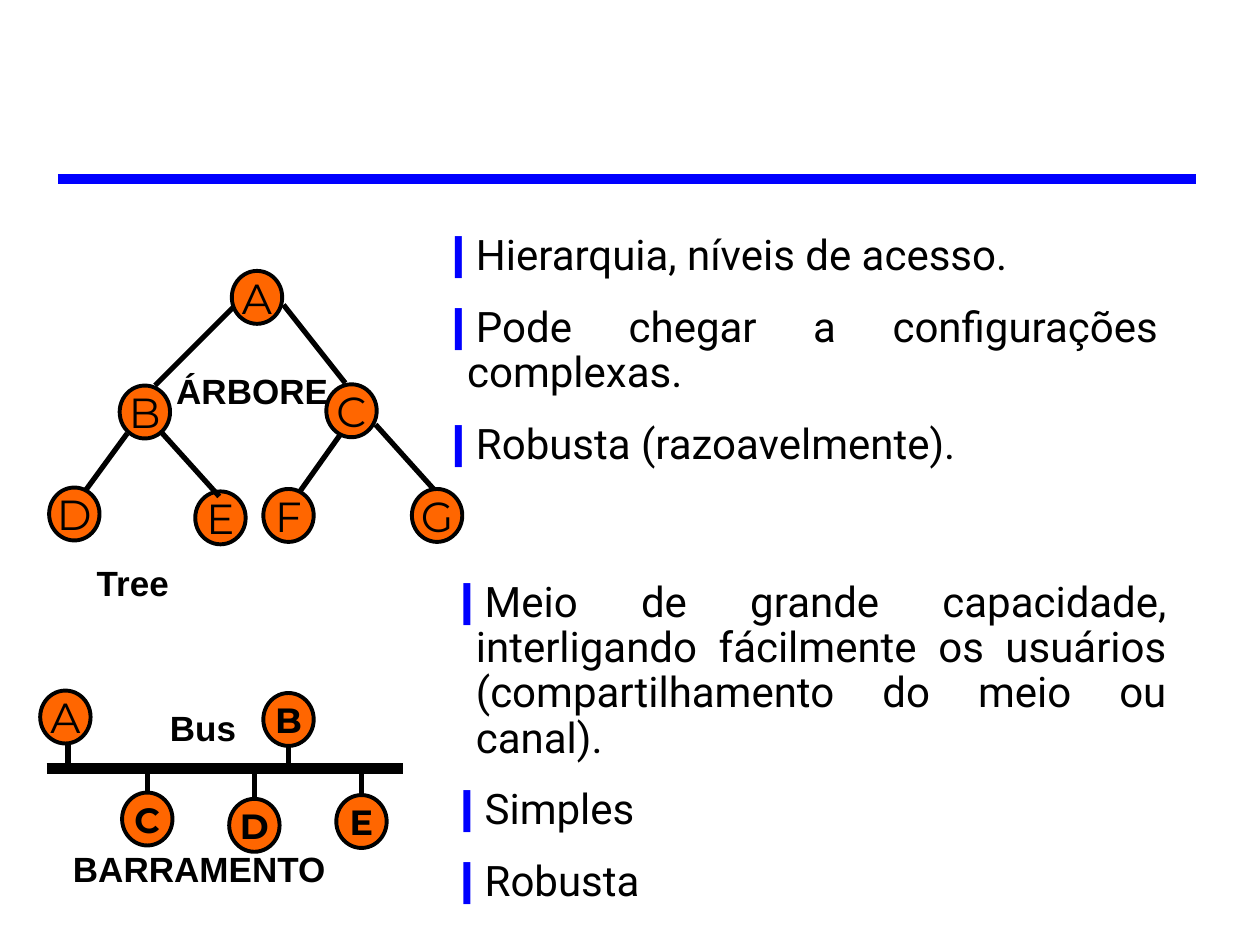
from lxml import etree
from pptx import Presentation
from pptx.dml.color import RGBColor
from pptx.enum import shapes, text
from pptx.oxml.ns import qn
from pptx.util import Pt

THEME = {
    "ink": RGBColor.from_string("000000"),
    "node": RGBColor.from_string("FF6600"),
    "accent": RGBColor.from_string("0000FF"),
    "node_font": "Montserrat",
    "label_font": "Arial",
    "body_font": "Roboto",
    "large": 24,
    "small": 20,
}
NODE_W, NODE_H = 28.8, 30.24
INDENT = 15.1
THICK, THIN, OUTLINE = 6, 3, 2.25

RULE = (33.1, 102.2, 683.3, 102.2)
TREE_NODES = [
    ("A", 132.5, 154.8),
    ("B", 68.4, 220.3),
    ("C", 186.5, 219.6),
    ("D", 28.1, 278.6),
    ("E", 111.6, 280.8),
    ("F", 150.5, 279.4),
    ("G", 235.4, 279.4),
]
TREE_EDGES = [
    (133.2, 175.7, 88.6, 220.3),
    (162, 174.2, 197.3, 218.9),
    (72.7, 247.7, 49, 280.1),
    (92.2, 247, 125.3, 283.7),
    (194.4, 248.4, 171.4, 280.8),
    (214.6, 242.6, 247.7, 279.4),
]
BUS_LEFT, BUS_RIGHT, BUS_Y = 26.6, 230.4, 439.2
BUS_NODES = [
    ("A", 23, 394.6, 38.9, False),
    ("B", 150.5, 396, 164.9, True),
    ("C", 69.8, 452.9, 84.2, True),
    ("D", 131, 456.5, 145.4, True),
    ("E", 192.2, 454.3, 206.6, True),
]
LABELS = [
    ("Tree", 48.2, 317.5, 62),
    ("ÁRBORE", 93.6, 207.4, 106),
    ("Bus", 90, 400.3, 57),
    ("BARRAMENTO", 34.6, 481, 164),
]
BULLETS = [
    (244.8, 130.3, 424, 141, [
        "Hierarquia, níveis de acesso.",
        "Pode chegar a configurações complexas.",
        "Robusta (razoavelmente).",
    ]),
    (249.8, 328.3, 424, 193, [
        "Meio de grande capacidade, interligando fácilmente os usuários "
        "(compartilhamento do meio ou canal).",
        "Simples",
        "Robusta",
    ]),
]


def style(paragraph, font, size, bold=False):
    for run in paragraph.runs:
        run.font.name = font
        run.font.size = Pt(size)
        run.font.bold = bold
        run.font.color.rgb = THEME["ink"]


def add_line(slide, ends, color, width):
    line = slide.shapes.add_connector(
        shapes.MSO_CONNECTOR.STRAIGHT, *(Pt(v) for v in ends))
    line.line.color.rgb = color
    line.line.width = Pt(width)
    etree.SubElement(line._element.spPr, qn("a:effectLst"))


def add_node(slide, letter, left, top, bold=False):
    node = slide.shapes.add_shape(
        shapes.MSO_SHAPE.OVAL, Pt(left), Pt(top), Pt(NODE_W), Pt(NODE_H))
    node.shadow.inherit = False
    node.fill.solid()
    node.fill.fore_color.rgb = THEME["node"]
    node.line.color.rgb = THEME["ink"]
    node.line.width = Pt(OUTLINE)
    frame = node.text_frame
    frame.word_wrap = False
    frame.vertical_anchor = text.MSO_ANCHOR.MIDDLE
    frame.text = letter
    frame.paragraphs[0].alignment = text.PP_ALIGN.CENTER
    size = THEME["small"] if bold else THEME["large"]
    style(frame.paragraphs[0], THEME["node_font"], size, bold)


def add_text(slide, left, top, width, height, content, wrap):
    frame = slide.shapes.add_textbox(
        Pt(left), Pt(top), Pt(width), Pt(height)).text_frame
    frame.word_wrap = wrap
    frame.auto_size = (text.MSO_AUTO_SIZE.SHAPE_TO_FIT_TEXT if wrap
                       else text.MSO_AUTO_SIZE.NONE)
    frame.text = content
    return frame.paragraphs


def add_bullet(paragraph):
    props = paragraph._p.get_or_add_pPr()
    props.set("marL", str(Pt(INDENT)))
    props.set("indent", str(-Pt(INDENT)))
    color = etree.SubElement(props, qn("a:buClr"))
    etree.SubElement(color, qn("a:srgbClr")).set("val", str(THEME["accent"]))
    font = etree.SubElement(props, qn("a:buFont"))
    font.set("typeface", THEME["body_font"])
    etree.SubElement(props, qn("a:buChar")).set("char", "❙")


def add_bullets(slide, left, top, width, height, items):
    paragraphs = add_text(
        slide, left, top, width, height, "\n".join(items), True)
    for index, paragraph in enumerate(paragraphs):
        add_bullet(paragraph)
        paragraph.alignment = text.PP_ALIGN.JUSTIFY
        paragraph.line_spacing = 0.9
        if index:
            paragraph.space_before = Pt(15)
        style(paragraph, THEME["body_font"], THEME["large"])


def main():
    deck = Presentation()
    deck.slide_width, deck.slide_height = Pt(720), Pt(540)
    slide = deck.slides.add_slide(deck.slide_layouts[6])

    add_line(slide, RULE, THEME["accent"], THICK)
    for node in TREE_NODES:
        add_node(slide, *node)
    for edge in TREE_EDGES:
        add_line(slide, edge, THEME["ink"], THIN)

    add_line(slide, (BUS_LEFT, BUS_Y, BUS_RIGHT, BUS_Y), THEME["ink"], THICK)
    for letter, left, top, stub, bold in BUS_NODES:
        add_node(slide, letter, left, top, bold)
        edge = top + NODE_H if top < BUS_Y else top
        add_line(slide, (stub, edge, stub, BUS_Y), THEME["ink"], THIN)

    for label, left, top, width in LABELS:
        caption = add_text(slide, left, top, width, 31, label, False)[0]
        style(caption, THEME["label_font"], THEME["small"], True)
    for block in BULLETS:
        add_bullets(slide, *block)

    deck.save("out.pptx")


if __name__ == "__main__":
    main()
